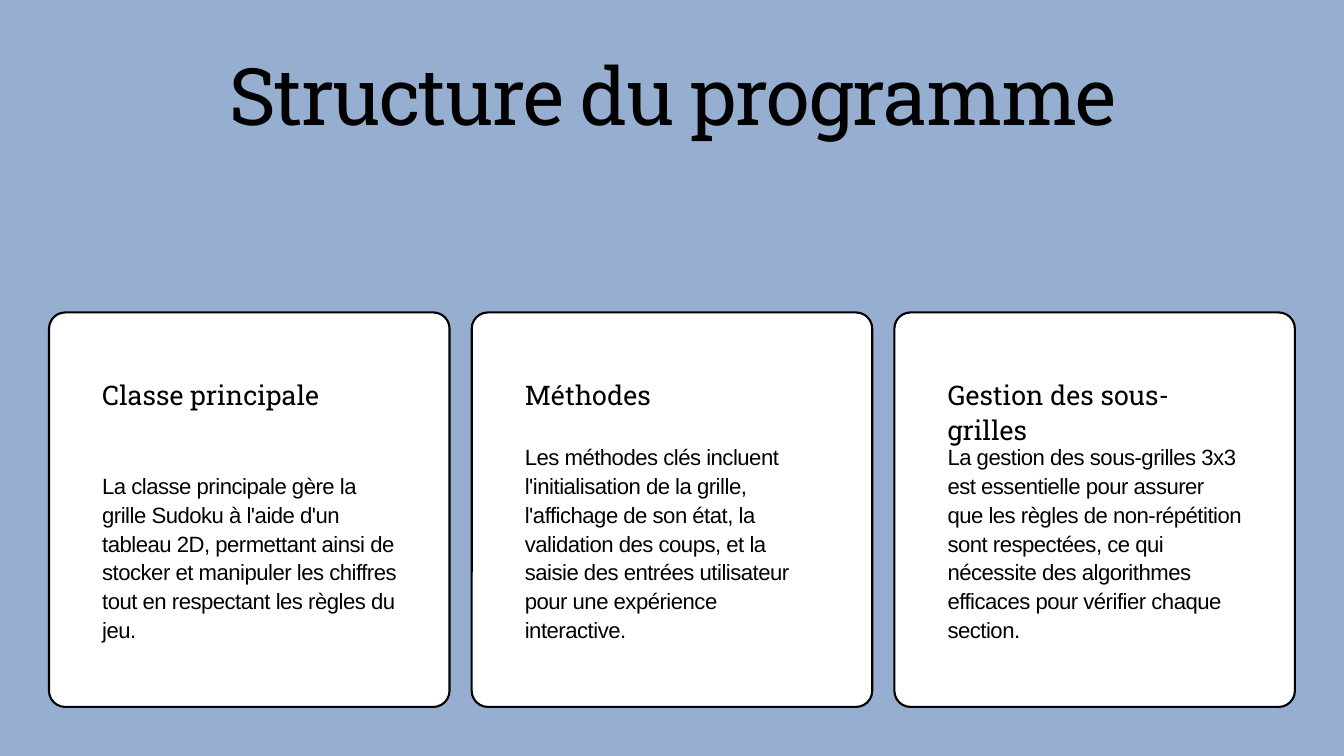
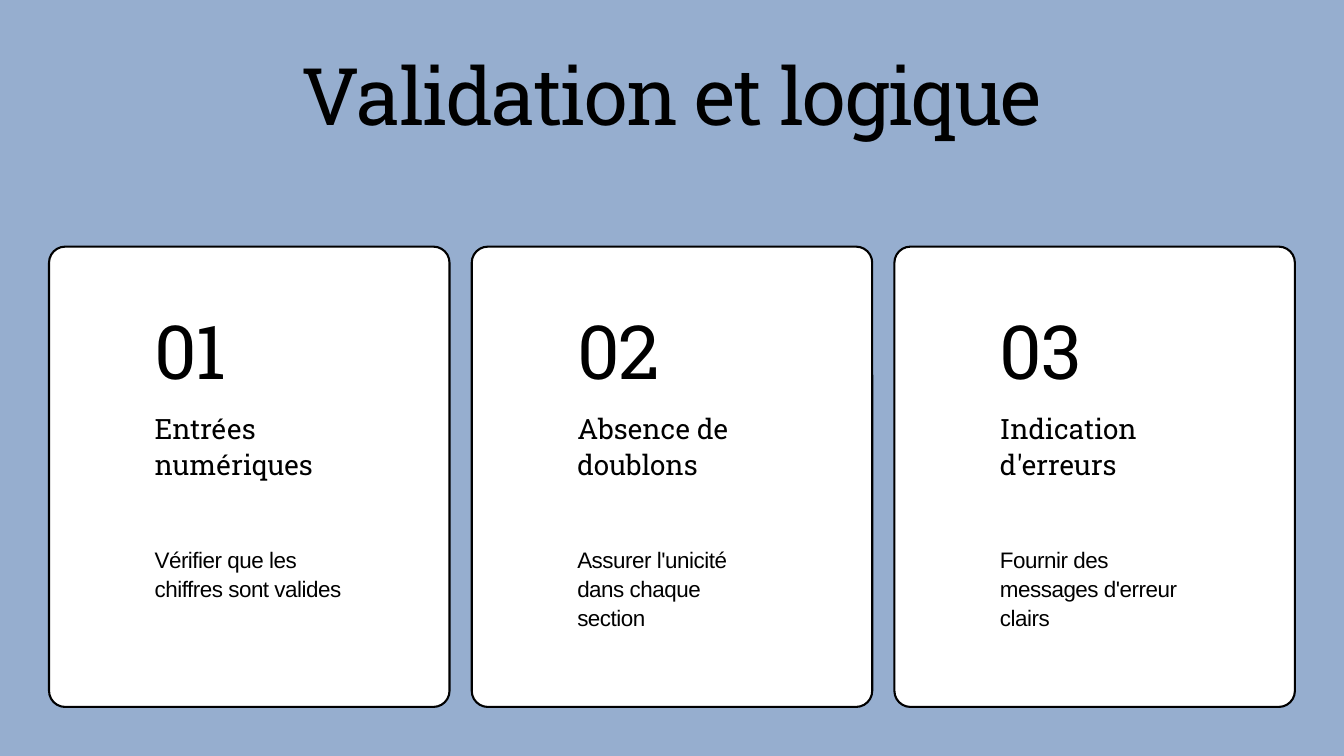
from pptx import Presentation
from pptx.dml.color import RGBColor
from pptx.enum.shapes import MSO_SHAPE
from pptx.enum.text import MSO_ANCHOR, MSO_AUTO_SIZE, PP_ALIGN
from pptx.util import Inches, Pt

BLUE, WHITE, BLACK = "96AECF", "FFFFFF", "000000"
SERIF, SANS = "Roboto Slab", "Arial"

CARD_LEFT, CARD_WIDTH, CARD_STEP = 0.73, 5.96, 6.29
CARD_BOTTOM, CORNER = 10.52, 0.24

PROGRAM_PARTS = [
    ("Classe principale", 7,
     "La classe principale gère la grille Sudoku à l'aide d'un tableau 2D, "
     "permettant ainsi de stocker et manipuler les chiffres tout en "
     "respectant les règles du jeu."),
    ("Méthodes", 6.57,
     "Les méthodes clés incluent l'initialisation de la grille, l'affichage "
     "de son état, la validation des coups, et la saisie des entrées "
     "utilisateur pour une expérience interactive."),
    ("Gestion des sous-grilles", 6.57,
     "La gestion des sous-grilles 3x3 est essentielle pour assurer que les "
     "règles de non-répétition sont respectées, ce qui nécessite des "
     "algorithmes efficaces pour vérifier chaque section."),
]
VALIDATION_STEPS = [
    ("Entrées numériques", 0.85, "Vérifier que les chiffres sont valides"),
    ("Absence de doublons", 1.28, "Assurer l'unicité dans chaque section"),
    ("Indication d'erreurs", 1.28, "Fournir des messages d'erreur clairs"),
]


def color(hex_value):
    return RGBColor.from_string(hex_value)


def write(box, text, font, size, leading, spacing=0, align=PP_ALIGN.LEFT):
    """Fill a box with one paragraph; leading and spacing are in points."""
    frame = box.text_frame
    frame.margin_left = frame.margin_right = 0
    frame.margin_top = frame.margin_bottom = 0
    frame.vertical_anchor = MSO_ANCHOR.TOP
    frame.word_wrap = True
    frame.auto_size = MSO_AUTO_SIZE.SHAPE_TO_FIT_TEXT
    frame.text = text
    para = frame.paragraphs[0]
    para.alignment = align
    para.line_spacing = Pt(leading)
    para.font.name = font
    para.font.size = Pt(size)
    para.font.color.rgb = color(BLACK)
    if spacing:
        para.font._rPr.set("spc", str(round(spacing * 100)))


def add_text(page, left, top, width, height, text, *style):
    box = page.shapes.add_textbox(
        Inches(left), Inches(top), Inches(width), Inches(height))
    write(box, text, *style)


def add_page(deck, title, left, width):
    page = deck.slides.add_slide(deck.slide_layouts[5])
    box = page.shapes.title
    box.left, box.top = Inches(left), Inches(0.92)
    box.width, box.height = Inches(width), Inches(1.23)
    write(box, title, SERIF, 85, 85, -1.7, PP_ALIGN.CENTER)
    return page


def add_cards(page, top):
    """Draw the row of three cards, from top down to the common bottom."""
    for column in range(3):
        card = page.shapes.add_shape(
            MSO_SHAPE.ROUNDED_RECTANGLE,
            Inches(CARD_LEFT + column * CARD_STEP), Inches(top),
            Inches(CARD_WIDTH), Inches(CARD_BOTTOM - top))
        card.adjustments[0] = CORNER / min(CARD_WIDTH, CARD_BOTTOM - top)
        card.shadow.inherit = False
        card.fill.solid()
        card.fill.fore_color.rgb = color(WHITE)
        card.line.color.rgb = color(BLACK)
        card.line.width = Pt(2.25)


def build_structure(deck):
    page = add_page(deck, "Structure du programme", 2.33, 15.37)
    add_cards(page, 4.65)
    for column, (heading, body_top, body) in enumerate(PROGRAM_PARTS):
        left = 1.52 + column * CARD_STEP
        add_text(page, left, 5.59, 4.39, 0.51, heading, SERIF, 28.9, 37.5)
        add_text(page, left, body_top, 4.39, 9.56 - body_top, body,
                 SANS, 23.7, 30.8, -0.5)


def build_validation(deck):
    page = add_page(deck, "Validation et logique", 0.73, 18.54)
    add_cards(page, 3.67)
    for column, (heading, body_height, body) in enumerate(VALIDATION_STEPS):
        left = 2.3 + column * CARD_STEP
        add_text(page, left, 4.76, 2.81, 1.21, f"{column + 1:02}",
                 SERIF, 80, 80, -1.6)
        add_text(page, left, 6.08, 2.81, 1.07, heading, SERIF, 30, 39)
        add_text(page, left, 8.09, 2.81, body_height, body,
                 SANS, 24, 31.2, -0.5)


def main():
    deck = Presentation()
    deck.slide_width, deck.slide_height = Inches(20), Inches(11.25)
    background = deck.slide_master.background.fill
    background.solid()
    background.fore_color.rgb = color(BLUE)
    build_structure(deck)
    build_validation(deck)
    deck.save("out.pptx")


if __name__ == "__main__":
    main()
